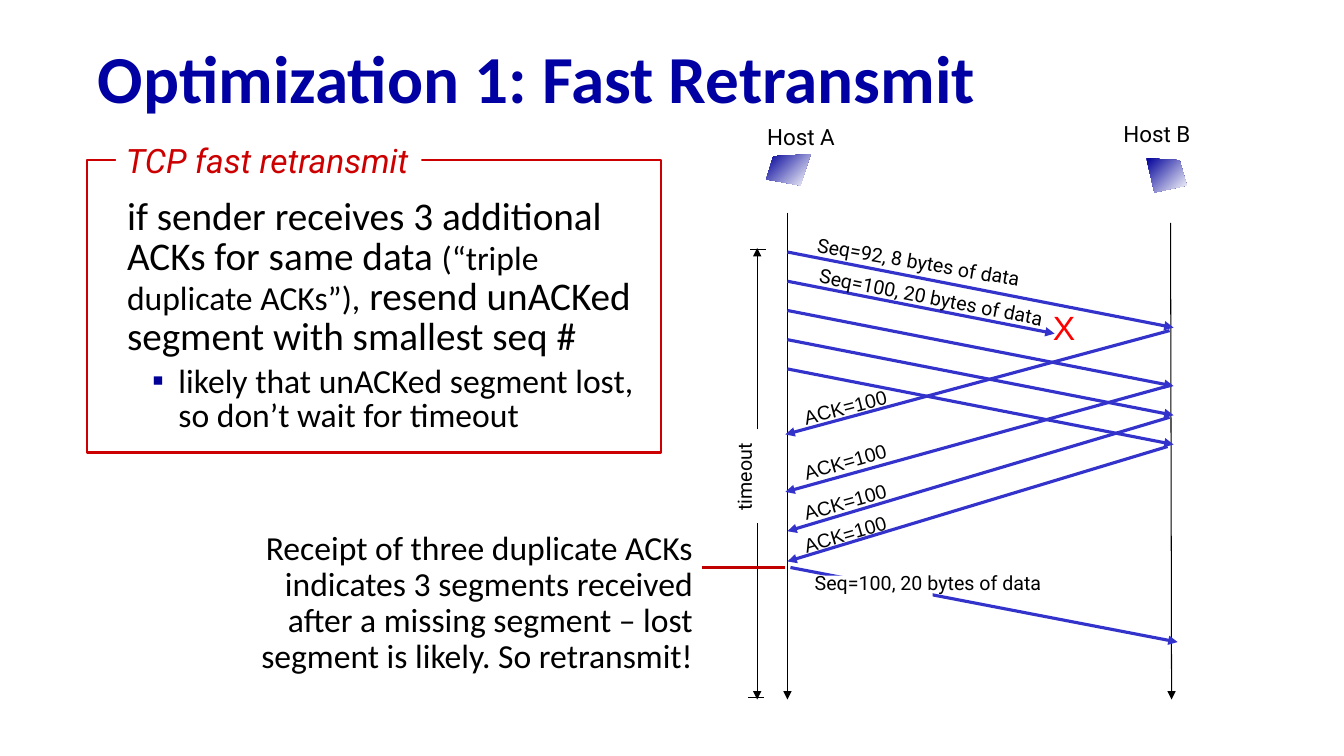
from dataclasses import dataclass

from lxml.etree import SubElement
from pptx import Presentation
from pptx.dml.color import RGBColor
from pptx.enum.shapes import MSO_CONNECTOR, MSO_SHAPE
from pptx.enum.text import MSO_ANCHOR, MSO_AUTO_SIZE, PP_ALIGN
from pptx.oxml.ns import qn
from pptx.util import Pt

PX = 9144


@dataclass(frozen=True)
class Theme:
    title: str = "0000A3"
    black: str = "000000"
    white: str = "FFFFFF"
    arrow: str = "3333CC"
    bullet: str = "000099"
    frame: str = "CC0000"
    callout: str = "C00000"
    loss: str = "FF0000"
    heading_font: str = "Calibri"
    label_font: str = "Roboto"
    ack_font: str = "Arial"
    title_size: int = 48
    body_size: int = 28
    detail_size: int = 24
    host_size: int = 16
    label_size: int = 14


theme = Theme()


def add_run(paragraph, text, size, font, color=theme.black):
    run = paragraph.add_run()
    run.text = text
    run.font.size = Pt(size)
    run.font.name = font
    run.font.color.rgb = RGBColor.from_string(color)
    return run


def add_line(shapes, ends, color, width, arrow=False):
    connector = shapes.add_connector(MSO_CONNECTOR.STRAIGHT, *(value * PX for value in ends))
    connector.line.color.rgb = RGBColor.from_string(color)
    connector.line.width = Pt(width)
    properties = connector.element.spPr
    if arrow:
        SubElement(properties.find(qn("a:ln")), qn("a:tailEnd"), type="triangle")
    SubElement(properties, qn("a:effectLst"))


presentation = Presentation()
presentation.slide_width = 1333 * PX
presentation.slide_height = 750 * PX
slide = presentation.slides.add_slide(presentation.slide_layouts[1])
shapes = slide.shapes

title = shapes.title
body = slide.placeholders[1]
for placeholder, box in ((title, (87, 32, 1246, 98)), (body, (116, 192, 526, 248))):
    placeholder.left, placeholder.top, placeholder.width, placeholder.height = (
        value * PX for value in box
    )
    placeholder.text_frame.word_wrap = True
    placeholder.text_frame.auto_size = MSO_AUTO_SIZE.NONE

title.text_frame.vertical_anchor = MSO_ANCHOR.MIDDLE
paragraph = title.text_frame.paragraphs[0]
paragraph.alignment = PP_ALIGN.LEFT
paragraph.line_spacing = 0.9
run = add_run(
    paragraph, "Optimization 1: Fast Retransmit", theme.title_size, theme.heading_font, theme.title
)
run.font.bold = True

body.text_frame.vertical_anchor = MSO_ANCHOR.TOP
rule = body.text_frame.paragraphs[0]
properties = rule._p.get_or_add_pPr()
properties.set("marL", "0")
properties.set("indent", "0")
SubElement(properties, qn("a:buNone"))
rule.line_spacing = 0.85
rule.space_before = Pt(0)
for text, size in (
    ("if sender receives 3 additional ACKs for same data ", theme.body_size),
    ("(“triple duplicate ACKs”),", theme.detail_size),
    (" resend unACKed segment with smallest seq #", theme.body_size),
):
    add_run(rule, text, size, theme.heading_font)

reason = body.text_frame.add_paragraph()
reason.level = 1
properties = reason._p.get_or_add_pPr()
properties.set("marL", str(51 * PX))
properties.set("indent", str(-26 * PX))
SubElement(SubElement(properties, qn("a:buClr")), qn("a:srgbClr"), val=theme.bullet)
SubElement(properties, qn("a:buFont"), typeface=theme.ack_font)
SubElement(properties, qn("a:buChar"), char="▪")
reason.line_spacing = 0.85
reason.space_before = Pt(5)
add_run(
    reason,
    "likely that unACKed segment lost, so don’t wait for timeout",
    theme.detail_size,
    theme.heading_font,
)

frame = shapes.add_shape(MSO_SHAPE.RECTANGLE, 86 * PX, 159 * PX, 570 * PX, 290 * PX)
frame.shadow.inherit = False
frame.fill.background()
frame.line.color.rgb = RGBColor.from_string(theme.frame)
frame.line.width = Pt(1.5)

for ends in (
    (781, 211, 781, 694),
    (1161, 221, 1162, 694),
    (751, 426, 751, 246),
    (751, 519, 751, 694),
):
    add_line(shapes, ends, theme.black, 0.75, arrow=True)
for ends in ((744, 248, 760, 248), (742, 692, 758, 692)):
    add_line(shapes, ends, theme.black, 0.75)

for ends in (
    (1160, 328, 779, 431),
    (1162, 382, 779, 488),
    (1160, 414, 781, 527),
    (1158, 443, 781, 557),
    (784, 563, 1168, 637),
):
    add_line(shapes, ends, theme.arrow, 2.25, arrow=True)
for segment in range(5):
    start = 250 + 29 * segment
    end = (1046, 331) if segment == 1 else (1164, start + 75)
    add_line(shapes, (781, start, *end), theme.arrow, 2.25, arrow=True)
add_line(shapes, (696, 563, 779, 563), theme.callout, 1.75)

mask = shapes.add_shape(MSO_SHAPE.RECTANGLE, 810 * PX, 571 * PX, 115 * PX, 29 * PX)
mask.shadow.inherit = False
mask.fill.solid()
mask.fill.fore_color.rgb = RGBColor.from_string(theme.white)
mask.line.fill.background()

for corners in (
    ((804, 153), (767, 155), (760, 178), (794, 184)),
    ((1137, 157), (1170, 159), (1177, 184), (1145, 191)),
):
    builder = shapes.build_freeform(*corners[0], scale=PX)
    builder.add_line_segments(corners[1:], close=True)
    host = builder.convert_to_shape()
    host.shadow.inherit = False
    host.line.fill.background()
    host.fill.gradient()
    host.fill.gradient_angle = 315
    for stop, color in zip(host.fill.gradient_stops, (theme.bullet, theme.white)):
        stop.color.rgb = RGBColor.from_string(color)

labels = [
    ("Host A", (736, 117, 117, 43), 0, theme.host_size, theme.label_font, theme.black),
    ("Host B", (1089, 114, 117, 43), 0, theme.host_size, theme.label_font, theme.black),
    ("timeout", (708, 443, 87, 60), 270, theme.label_size, theme.label_font, theme.black),
    ("X", (1034, 300, 43, 58), 0, theme.detail_size, theme.ack_font, theme.loss),
]
for text, box, angle in (
    ("Seq=92, 8 bytes of data", (795, 243, 232, 34), 9.7),
    ("Seq=100, 20 bytes of data", (797, 278, 253, 34), 11.1),
    ("Seq=100, 20 bytes of data", (748, 561, 345, 39), 0),
):
    labels.append((text, box, angle, theme.label_size, theme.label_font, theme.black))
for top, angle in ((387, 345.6), (441, 343.9), (481, 344.3), (513, 343.8)):
    labels.append(
        ("ACK=100", (767, top, 144, 39), angle, theme.label_size, theme.ack_font, theme.black)
    )
for text, box, angle, size, font, color in labels:
    label = shapes.add_textbox(*(value * PX for value in box))
    label.rotation = angle
    label.text_frame.word_wrap = False
    paragraph = label.text_frame.paragraphs[0]
    paragraph.alignment = PP_ALIGN.CENTER
    add_run(paragraph, text, size, font, color)

callout = shapes.add_textbox(244 * PX, 522 * PX, 453 * PX, 156 * PX)
callout.text_frame.word_wrap = True
paragraph = callout.text_frame.paragraphs[0]
paragraph.alignment = PP_ALIGN.RIGHT
paragraph.line_spacing = 0.9
add_run(
    paragraph,
    "Receipt of three duplicate ACKs indicates 3 segments received after a missing segment "
    "– lost segment is likely. So retransmit!",
    theme.detail_size,
    theme.heading_font,
)

heading = shapes.add_textbox(115 * PX, 134 * PX, 303 * PX, 50 * PX)
heading.fill.solid()
heading.fill.fore_color.rgb = RGBColor.from_string(theme.white)
heading.text_frame.word_wrap = False
run = add_run(
    heading.text_frame.paragraphs[0],
    "TCP fast retransmit",
    theme.detail_size,
    theme.label_font,
    theme.frame,
)
run.font.italic = True

presentation.save("out.pptx")
